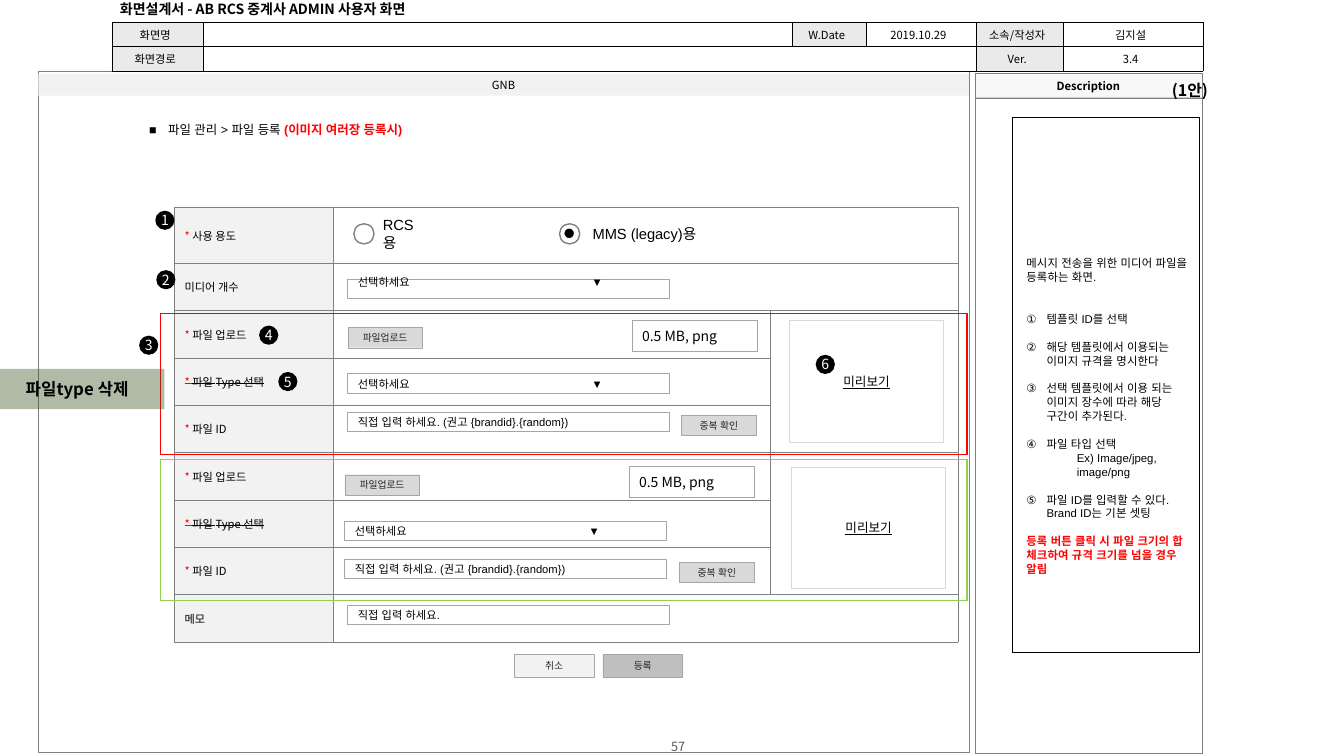
from lxml.etree import SubElement
from pptx import Presentation
from pptx.dml.color import RGBColor
from pptx.enum.shapes import MSO_SHAPE
from pptx.enum.text import MSO_ANCHOR, MSO_AUTO_SIZE, PP_ALIGN
from pptx.oxml.ns import qn
from pptx.util import Inches, Pt

UNIT = Inches(0.01)
NOTO = "Noto Sans CJK KR"
ARIAL = "Arial"
RED = "FF0000"
BLACK = "000000"
GRAY = "808080"
BORDER = "A6A6A6"
LEFT, CENTER, RIGHT = PP_ALIGN.LEFT, PP_ALIGN.CENTER, PP_ALIGN.RIGHT
RECTANGLE, OVAL = MSO_SHAPE.RECTANGLE, MSO_SHAPE.OVAL
hex_color = RGBColor.from_string


def write(paragraph, runs, face=NOTO, size=8, align=LEFT, tab=None):
    paragraph.alignment = align
    for text, color, style in runs:
        run = paragraph.add_run()
        run.text = text
        formats = {"name": face, "size": Pt(size), "bold": False, **style}
        strike = formats.pop("strike", None)
        for name, value in formats.items():
            setattr(run.font, name, value)
        run.font.color.rgb = hex_color(color)
        properties = run.font._element
        SubElement(properties, qn("a:ea"), typeface=face)
        if strike:
            properties.set("strike", "sngStrike")
    if not runs:
        SubElement(paragraph._p, qn("a:endParaRPr"), sz=str(size * 100))
    if tab:
        stops = SubElement(paragraph._p.get_or_add_pPr(), qn("a:tabLst"))
        SubElement(stops, qn("a:tab"), pos=str(tab * UNIT), algn="l")


def add_box(kind, bounds, fill=None, line=None, width=0.25, runs=(), face=NOTO,
            size=8, align=CENTER, tab=None, inset=10, bottom=0, wrap=True):
    shape = slide.shapes.add_shape(kind, *(value * UNIT for value in bounds))
    shape.shadow.inherit = False
    if fill:
        shape.fill.solid()
        shape.fill.fore_color.rgb = hex_color(fill)
    else:
        shape.fill.background()
    if line:
        shape.line.color.rgb = hex_color(line)
        shape.line.width = Pt(width)
    else:
        shape.line.fill.background()
    if runs:
        formats = {"margin_left": inset * UNIT, "margin_right": inset * UNIT,
                   "margin_top": 0, "margin_bottom": bottom * UNIT,
                   "word_wrap": wrap, "vertical_anchor": MSO_ANCHOR.MIDDLE}
        for name, value in formats.items():
            setattr(shape.text_frame, name, value)
        write(shape.text_frame.paragraphs[0], runs, face, size, align, tab)
    return shape


presentation = Presentation()
presentation.slide_width = 1333 * UNIT
presentation.slide_height = 750 * UNIT
slide = presentation.slides.add_slide(presentation.slide_layouts[1])
title, body = slide.placeholders
for placeholder, bounds, anchor, margin in (
        (title, (110, -4, 347, 26), MSO_ANCHOR.MIDDLE, 4),
        (body, (1009, 249, 183, 338), MSO_ANCHOR.TOP, 5)):
    for name, value in zip(("left", "top", "width", "height"), bounds):
        setattr(placeholder, name, value * UNIT)
    formats = {"auto_size": MSO_AUTO_SIZE.NONE, "word_wrap": True, "vertical_anchor": anchor,
               "margin_left": 9 * UNIT, "margin_right": 10 * UNIT,
               "margin_top": margin * UNIT, "margin_bottom": margin * UNIT}
    for name, value in formats.items():
        setattr(placeholder.text_frame, name, value)
write(title.text_frame.paragraphs[0],
      [("화면설계서 - AB RCS 중계사 ADMIN 사용자 화면", BLACK, {"bold": True})], size=10)

descriptions = [
    ("메시지 전송을 위한 미디어 파일을 등록하는 화면.", 0, 0),
    ("템플릿 ID를 선택", 1, 20),
    ("해당 템플릿에서 이용되는 이미지 규격을 명시한다", 2, 10),
    ("선택 템플릿에서 이용 되는 이미지 장수에 따라 해당 구간이 추가된다.", 3, 10),
    ("파일 타입 선택", 4, 10),
    ("Ex) Image/jpeg, image/png", 0, 0),
    ("파일 ID를 입력할 수 있다. Brand ID는 기본 셋팅", 5, 10),
    ("등록 버튼 클릭 시 파일 크기의 합 체크하여 규격 크기를 넘을 경우 알림", 0, 10),
]
for index, (text, number, gap) in enumerate(descriptions):
    frame = body.text_frame
    paragraph = frame.add_paragraph() if index else frame.paragraphs[0]
    paragraph.space_before = Pt(gap)
    paragraph.line_spacing = Pt(9.9)
    properties = paragraph._p.get_or_add_pPr()
    example = text.startswith("Ex)")
    properties.set("marL", str((20 if number else 50 if example else 0) * UNIT))
    properties.set("indent", str((-20 if number else 0) * UNIT))
    if number:
        SubElement(properties, qn("a:buFont"), typeface=NOTO)
        SubElement(properties, qn("a:buAutoNum"), type="circleNumDbPlain", startAt=str(number))
    else:
        SubElement(properties, qn("a:buNone"))
    if example:
        paragraph.level = 1
    warning = index == len(descriptions) - 1
    write(paragraph, [(text, RED if warning else BLACK, {"bold": warning})], ARIAL, 8.1)

add_box(RECTANGLE, (38, 71, 923, 675), line=GRAY)
add_box(RECTANGLE, (967, 96, 225, 651), line=GRAY)
add_box(RECTANGLE, (967, 73, 225, 24), "F8F8F8", GRAY,
        runs=[("Description", BLACK, {"bold": True})])
add_box(RECTANGLE, (38, 73, 923, 22), "F2F2F2", runs=[("GNB", BLACK, {})])
add_box(RECTANGLE, (1004, 116, 185, 531), line=BLACK)

header_cells = [["화면명", "", "W.Date", "2019.10.29", "소속/작성자", "김지설"],
                ["화면경로", "", "", "", "Ver.", "3.4"]]
file_labels = ["* 파일 업로드", "* 파일 Type 선택", "* 파일 ID"]
form_labels = ["* 사용 용도", "미디어 개수", *file_labels, *file_labels, "메모"]
form_cells = [[label, "", ""] for label in form_labels]
tables = [
    ((111, 22, 1081, 44), (91, 584, 73, 109, 87, 138), (22, 22), header_cells,
     [(1, 1, 1, 3)], BLACK, "EAEAEA", (0, 2, 4), CENTER, (4, 4, 9, 4)),
    ((173, 206, 777, 433), (157, 434, 186), (55,) + (47,) * 8, form_cells,
     [(0, 1, 0, 2), (1, 1, 1, 2), (2, 2, 4, 2), (5, 2, 7, 2), (8, 1, 8, 2)],
     GRAY, "F2F2F2", (0,), LEFT, (10, 5, 10, 5)),
]
for bounds, columns, rows, cells, merges, border, fill, labels, align, margins in tables:
    table = slide.shapes.add_table(len(rows), len(columns), *(value * UNIT for value in bounds)).table
    table.first_row = table.horz_banding = False
    for column, width in zip(table.columns, columns):
        column.width = width * UNIT
    for row, height in zip(table.rows, rows):
        row.height = height * UNIT
    for top, left, bottom, right in merges:
        table.cell(top, left).merge(table.cell(bottom, right))
    for row_index, texts in enumerate(cells):
        for column_index, text in enumerate(texts):
            cell = table.cell(row_index, column_index)
            cell.vertical_anchor = MSO_ANCHOR.MIDDLE
            for side, margin in zip(("left", "top", "right", "bottom"), margins):
                setattr(cell, f"margin_{side}", margin * UNIT)
            for side in "LRTB":
                edge = SubElement(cell._tc.get_or_add_tcPr(), qn(f"a:ln{side}"), w=str(Pt(0.25)))
                SubElement(SubElement(edge, qn("a:solidFill")), qn("a:srgbClr"), val=border)
            if column_index in labels:
                cell.fill.solid()
                cell.fill.fore_color.rgb = hex_color(fill)
            else:
                cell.fill.background()
            style = {"strike": "Type" in text}
            star = [("* ", RED, style)] if text.startswith("* ") else []
            name = text.removeprefix("* ")
            write(cell.text_frame.paragraphs[0],
                  star + ([(name, BLACK, style)] if name else []), align=align)

add_box(RECTANGLE, (138, 116, 334, 25), face=ARIAL, size=8.9, align=LEFT, tab=19,
        runs=[("■\t파일 관리 > 파일 등록", BLACK, {}),
              (" (이미지 여러장 등록시)", RED, {"bold": True})])
add_box(RECTANGLE, (825, 75, 383, 29), size=11.4, align=RIGHT,
        runs=[("(1안)", BLACK, {"bold": True})])
add_box(RECTANGLE, (517, 734, 311, 13), size=9, runs=[("57", "595959", {})])

for left, label_left, label_width, label in ((351, 370, 63, "RCS용"),
                                             (555, 578, 158, "MMS (legacy)용")):
    add_box(OVAL, (left, 222, 20, 20), "FFFFFF", GRAY, 1)
    add_box(RECTANGLE, (label_left, 222, label_width, 20), face=ARIAL, size=10.5,
            align=LEFT, runs=[(label, BLACK, {})])
add_box(OVAL, (559, 226, 11, 11), BLACK, "FFFFFF", 1)

select = "선택하세요\t▼"
entry = "직접 입력 하세요."
advice = entry + " (권고 {brandid}.{random})"
for left, top, text, bottom in ((345, 277, select, 14), (345, 371, select, 0),
                                (345, 409, advice, 0), (342, 517, select, 0),
                                (342, 555, advice, 0), (345, 601, entry, 0)):
    add_box(RECTANGLE, (left, top, 319, 19), "FFFFFF", BORDER, 0.75, [(text, BLACK, {})],
            ARIAL, 8, LEFT, 232 if text == select else None, bottom=bottom)

for left, top, width, height, fill, text in (
        (345, 325, 74, 20, "D9D9D9", "파일업로드"), (342, 471, 74, 20, "D9D9D9", "파일업로드"),
        (676, 412, 74, 20, "D9D9D9", "중복 확인"), (674, 558, 74, 20, "D9D9D9", "중복 확인"),
        (510, 649, 79, 23, "F2F2F2", "취소"), (598, 649, 79, 23, "BFBFBF", "등록")):
    add_box(RECTANGLE, (left, top, width, height), fill, BORDER, 0.1,
            [(text, "262626", {})], ARIAL, 7, inset=4)

for top, size_left, preview_left, outline in ((311, 627, 783, RED), (456, 624, 785, "92D050")):
    add_box(RECTANGLE, (size_left, top + 7, 124, 31), "FFFFFF", BORDER, 0.75,
            [("0.5 MB, png", BLACK, {})], size=10, align=LEFT)
    add_box(RECTANGLE, (preview_left, top + 7, 153, 121), "FFFFFF", "D9D9D9", 0.25,
            [("미리보기", BLACK, {"underline": True})], ARIAL, 9)
    add_box(RECTANGLE, (159, top, 800, 140), line=outline, width=1)

badges = ((154, 209), (155, 268), (138, 333), (257, 323), (276, 369), (809, 352))
for number, (left, top) in enumerate(badges, 1):
    add_box(OVAL, (left, top, 19, 19), BLACK, runs=[(str(number), "FFFFFF", {})],
            size=10, inset=0, wrap=False)

removal = add_box(RECTANGLE, (-10, 366, 173, 40), "385723", size=12,
                  runs=[("파일type 삭제", BLACK, {"bold": True})])
tint = removal.fill._xPr.find(qn("a:solidFill"))[0]
SubElement(tint, qn("a:alpha"), val="40000")

presentation.save("out.pptx")
